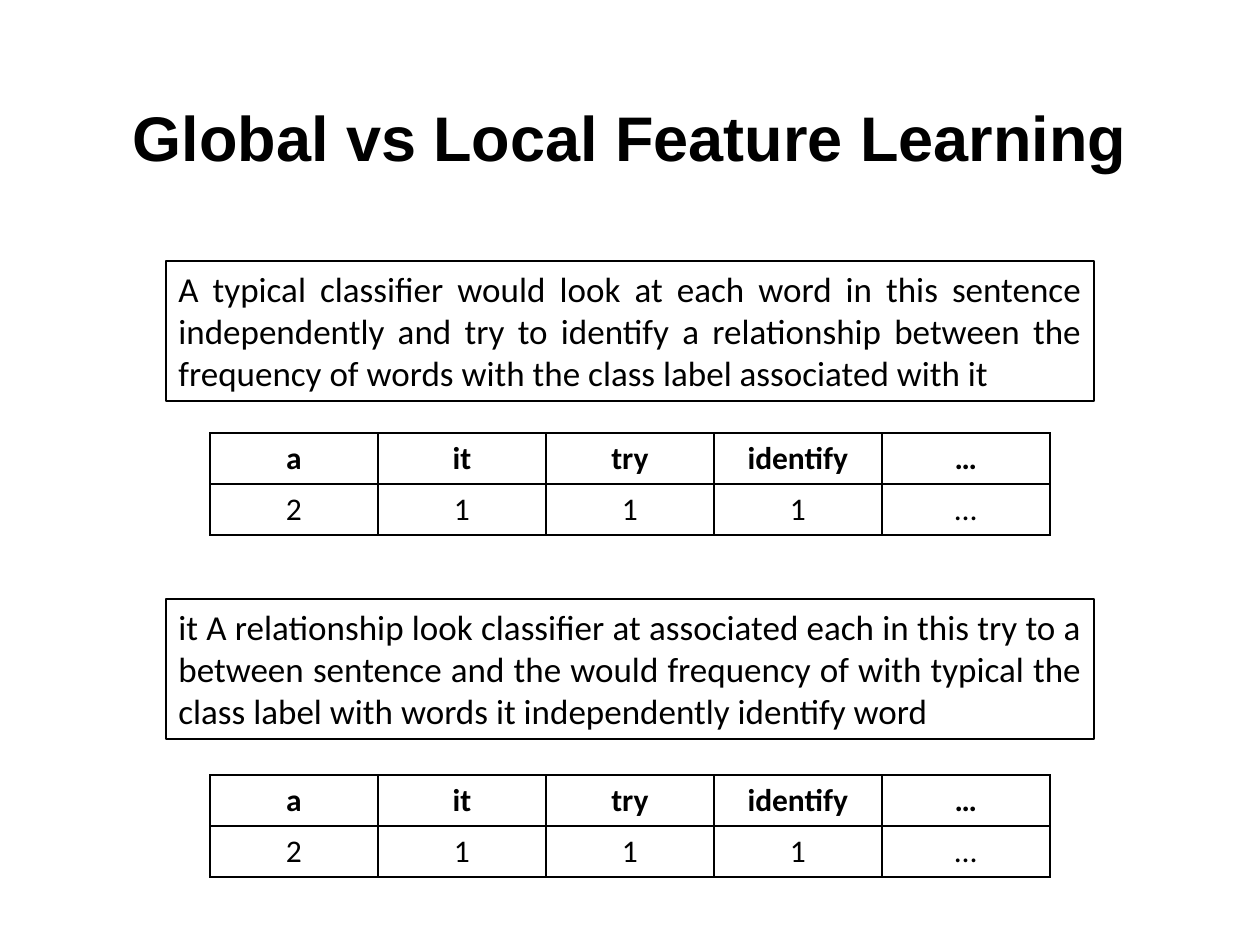
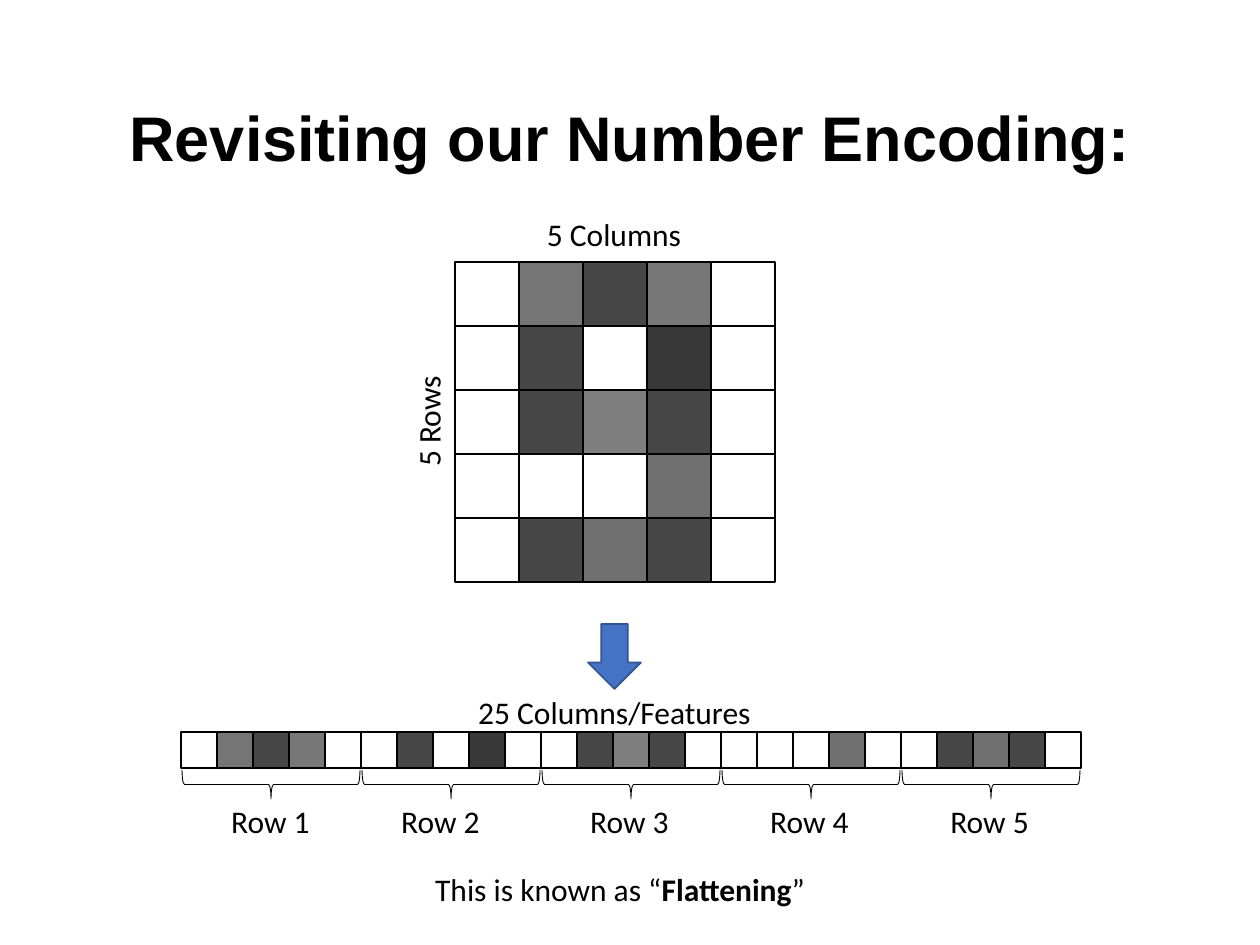
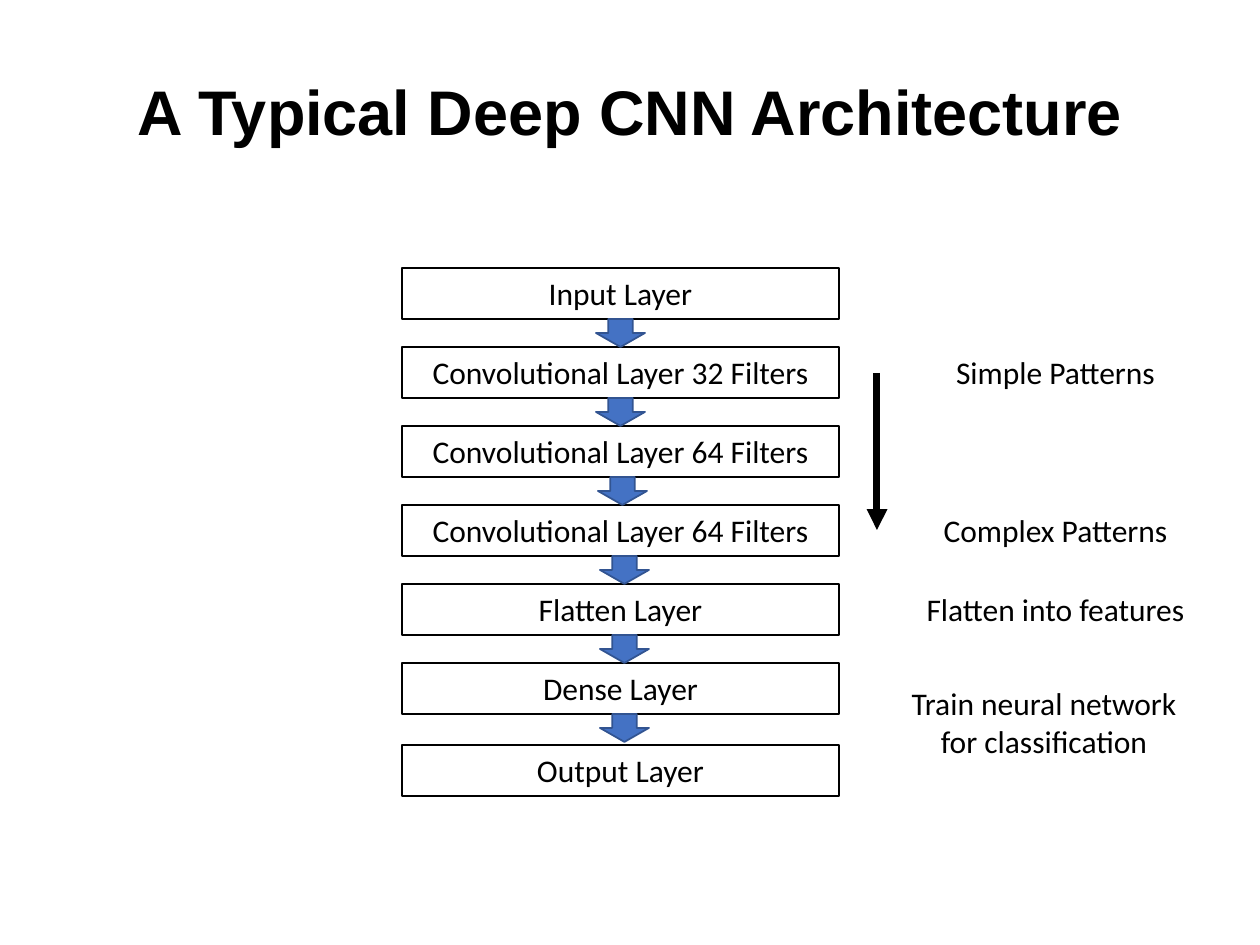
"""Build three slides on feature learning and convolutional networks."""
from dataclasses import dataclass

from lxml.etree import SubElement
from pptx import Presentation
from pptx.dml.color import RGBColor as RGB
from pptx.enum.shapes import MSO_CONNECTOR as CONN, MSO_SHAPE as SHAPE
from pptx.enum.text import MSO_ANCHOR as ANCHOR, MSO_AUTO_SIZE as AUTO, PP_ALIGN as ALIGN
from pptx.oxml import parse_xml
from pptx.oxml.ns import nsdecls, qn
from pptx.util import Emu, Inches, Pt

PX_PER_INCH = 126


def px(n):
    """Turn picture pixels into EMU."""
    return Emu(round(n * 914400 / PX_PER_INCH))


@dataclass(frozen=True)
class Theme:
    """Colours, fonts, type sizes and line widths of the deck."""
    ink: RGB = RGB(0, 0, 0)
    blue: RGB = RGB(0x44, 0x72, 0xC4)
    navy: RGB = RGB(0x32, 0x54, 0x91)
    title_font: str = "Arial"
    body_font: str = "Calibri"
    title_size: int = 36
    quote_size: int = 20
    body_size: int = 18
    hairline: float = 0.5
    frame: float = 0.75
    rule: float = 1
    heavy: float = 4


class Deck:
    """Holds the theme and the slide being drawn."""

    def __init__(self, theme):
        """Start an empty 10 by 7.5 inch presentation."""
        self.theme = theme
        self.prs = Presentation()
        self.prs.slide_width, self.prs.slide_height = Inches(10), Inches(7.5)
        self.s = None

    def slide(self, title, height=183):
        """Add a slide and format its title placeholder."""
        t = self.theme
        self.s = self.prs.slides.add_slide(self.prs.slide_layouts[5])
        sp = self.s.shapes.title
        sp.left, sp.top, sp.width, sp.height = map(px, (87, 50, 1086, height))
        tf = sp.text_frame
        tf.word_wrap, tf.vertical_anchor = True, ANCHOR.MIDDLE
        p = tf.paragraphs[0]
        p.alignment, p.line_spacing = ALIGN.CENTER, 0.9
        self.run(p, title, t.title_size, True, t.title_font)

    def run(self, p, text, size, bold=False, font=None):
        """Append one formatted run to a paragraph."""
        r = p.add_run()
        r.text = text
        f = r.font
        f.name, f.size, f.bold = font or self.theme.body_font, Pt(size), bold
        f.color.rgb = self.theme.ink

    def text(self, x, y, w, h, *paras, size=None, align=ALIGN.CENTER, framed=False, turn=0):
        """Add a text box; a paragraph is a string or a list of (text, bold)."""
        sp = self.s.shapes.add_textbox(px(x), px(y), px(w), px(h))
        sp.rotation = turn
        if framed:
            self.outline(sp, self.theme.frame)
        tf = sp.text_frame
        tf.word_wrap, tf.auto_size = True, AUTO.SHAPE_TO_FIT_TEXT
        for i, para in enumerate(paras):
            p = tf.add_paragraph() if i else tf.paragraphs[0]
            p.alignment = align
            for text, bold in [(para, False)] if isinstance(para, str) else para:
                self.run(p, text, size or self.theme.body_size, bold)

    def outline(self, sp, width, color=None):
        """Set the outline of a shape."""
        sp.line.color.rgb = color or self.theme.ink
        sp.line.width = Pt(width)

    def shape(self, kind, x, y, w, h, fill=None, line=None, width=None, alpha=100, into=None):
        """Add a preset shape, to the slide or into a group."""
        shapes = (into or self.s).shapes
        sp = shapes.add_shape(kind, px(x), px(y), px(w), px(h))
        sp.shadow.inherit = False
        if fill is None:
            sp.fill.background()
        else:
            sp.fill.solid()
            sp.fill.fore_color.rgb = fill
            if alpha < 100:
                color = sp.fill._xPr.find(qn("a:solidFill"))[0]
                SubElement(color, qn("a:alpha"), val=str(alpha * 1000))
        self.outline(sp, width or self.theme.rule, line)
        return sp

    def block_arrow(self, x, y, w, h):
        """Add a blue arrow pointing down."""
        self.shape(SHAPE.DOWN_ARROW, x, y, w, h, self.theme.blue, self.theme.navy)

    def brace(self, x, y, w, h):
        """Add a brace opening upwards in the box it visibly fills."""
        cx, cy = x + w / 2, y + h / 2
        sp = self.shape(SHAPE.RIGHT_BRACE, cx - h / 2, cy - w / 2, h, w,
                        width=self.theme.hairline)
        sp.rotation = 90

    def pixels(self, x, y, side, rows):
        """Add a group of square cells shaded by their ink percentage."""
        group = self.s.shapes.add_group_shape()
        for i, row in enumerate(rows):
            for j, shade in enumerate(row):
                self.shape(SHAPE.RECTANGLE, x + j * side, y + i * side, side, side,
                           self.theme.ink if shade else None, alpha=shade, into=group)

    def arrow(self, x1, y1, x2, y2):
        """Add a heavy straight arrow."""
        c = self.s.shapes.add_connector(CONN.STRAIGHT, px(x1), px(y1), px(x2), px(y2))
        self.outline(c, self.theme.heavy)
        SubElement(c.line._get_or_add_ln(), qn("a:tailEnd"), type="triangle")
        SubElement(c._element.spPr, qn("a:effectLst"))

    def table(self, x, y, col_w, row_h, rows):
        """Add a ruled table with a bold first row."""
        n, m = len(rows), len(rows[0])
        table = self.s.shapes.add_table(n, m, px(x), px(y), px(m * col_w), px(n * row_h)).table
        table.first_row = table.horz_banding = False
        for col in table.columns:
            col.width = px(col_w)
        for i, row in enumerate(rows):
            table.rows[i].height = px(row_h)
            for j, text in enumerate(row):
                cell = table.cell(i, j)
                cell.fill.background()
                self.borders(cell)
                p = cell.text_frame.paragraphs[0]
                p.alignment = ALIGN.CENTER
                self.run(p, text, self.theme.body_size, i == 0)

    def borders(self, cell):
        """Rule all four sides of a table cell."""
        for i, side in enumerate("LRTB"):
            cell._tc.get_or_add_tcPr().insert(i, parse_xml(
                f'<a:ln{side} {nsdecls("a")} w="{Pt(self.theme.rule)}"><a:solidFill>'
                f'<a:srgbClr val="{self.theme.ink}"/></a:solidFill></a:ln{side}>'))


def feature_learning(d):
    """Two sentences that share the same word counts."""
    d.slide("Global vs Local Feature Learning")
    counts = [["a", "it", "try", "identify", "…"], ["2", "1", "1", "1", "…"]]
    ordered = ("A typical classifier would look at each word in this sentence independently "
               "and try to identify a relationship between the frequency of words with the "
               "class label associated with it")
    shuffled = ("it A relationship look classifier at associated each in this try to a between "
                "sentence and the would frequency of with typical the class label with words "
                "it independently identify word")
    for sentence, text_y, table_y in ((ordered, 261, 433), (shuffled, 599, 775)):
        d.text(166, text_y, 928, 140, sentence, size=d.theme.quote_size,
               align=ALIGN.JUSTIFY, framed=True)
        d.table(210, table_y, 168, 51, counts)


def number_encoding(d):
    """A digit of 5 by 5 pixels flattened into one row."""
    d.slide("Revisiting our Number Encoding:")
    digit = [[0, 54, 72, 53, 0],
             [0, 72, 0, 78, 0],
             [0, 72, 50, 72, 0],
             [0, 0, 0, 56, 0],
             [0, 72, 56, 72, 0]]
    strip_x, strip_y, side = 181, 732, 36
    d.pixels(strip_x, strip_y, side, [sum(digit, [])])
    d.pixels(455, 262, 64, digit)
    span = side * len(digit[0])
    for i, label_x in enumerate((154, 324, 513, 693, 873)):
        d.text(label_x, 796, 233, 51, f"Row {i + 1}")
        d.brace(strip_x + i * span + 1, 770, span - 2, 29)
    d.block_arrow(588, 624, 53, 65)
    d.text(234, 864, 772, 51,
           [("This is known as “", False), ("Flattening", True), ("”", False)])
    d.text(349, 396, 159, 51, "5 Rows", turn=270)
    d.text(495, 209, 238, 51, "5 Columns")
    d.text(411, 687, 407, 51, "25 Columns/Features")


def cnn_architecture(d):
    """The stack of layers and what each stage learns."""
    d.slide("A Typical Deep CNN Architecture", 130)
    layers = ["Input Layer", "Convolutional Layer 32 Filters", "Convolutional Layer 64 Filters",
              "Convolutional Layer 64 Filters", "Flatten Layer", "Dense Layer", "Output Layer"]
    top, step, box_h = 268, 79, 51
    tops = [top + i * step for i in range(6)] + [745]
    for y, layer in zip(tops, layers):
        d.text(402, y, 437, box_h, layer, framed=True)
    for y, x in zip(tops, (596, 596, 598, 600, 600, 600)):
        d.block_arrow(x, y + box_h, 49, 28)
    for i, note in ((1, "Simple Patterns"), (3, "Complex Patterns"), (4, "Flatten into features")):
        d.text(900, tops[i], 311, box_h, note)
    d.arrow(877, 373, 877, 530)
    d.text(877, 678, 334, 89, "Train neural network", "for classification")


deck = Deck(Theme())
for build in (feature_learning, number_encoding, cnn_architecture):
    build(deck)
deck.prs.save("out.pptx")
